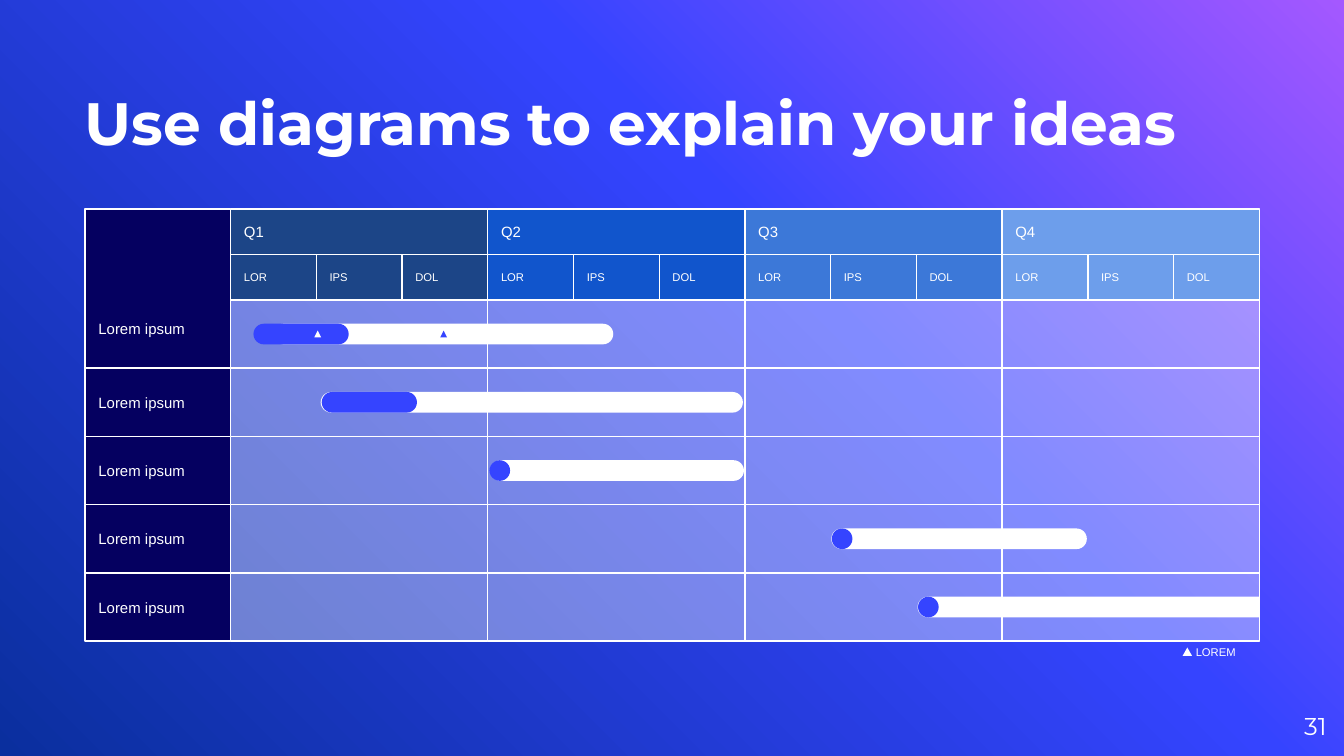
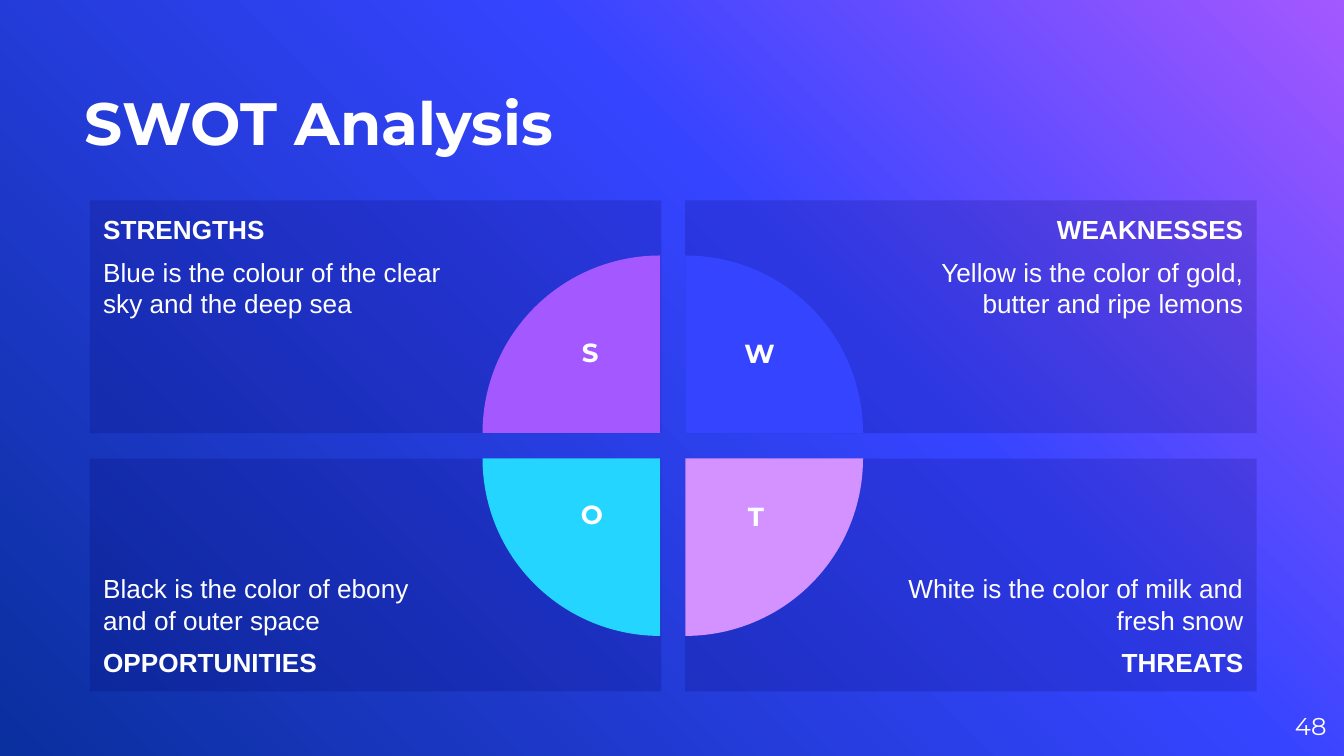
from copy import deepcopy

from lxml import etree
from pptx import Presentation
from pptx.dml.color import RGBColor
from pptx.enum.shapes import MSO_SHAPE
from pptx.enum.text import MSO_ANCHOR, PP_ALIGN
from pptx.oxml.ns import qn
from pptx.util import Cm, Pt

RECTANGLE = MSO_SHAPE.RECTANGLE
TRIANGLE = MSO_SHAPE.ISOSCELES_TRIANGLE
ROUND_BAR = MSO_SHAPE.ROUND_2_SAME_RECTANGLE
PIE = MSO_SHAPE.PIE
TOP, MIDDLE, BOTTOM = MSO_ANCHOR.TOP, MSO_ANCHOR.MIDDLE, MSO_ANCHOR.BOTTOM
LEFT, CENTER, RIGHT = PP_ALIGN.LEFT, PP_ALIGN.CENTER, PP_ALIGN.RIGHT

WHITE = RGBColor(0xFF, 0xFF, 0xFF)
NAVY = RGBColor(0x05, 0x00, 0x60)
BLUE = RGBColor(0x35, 0x44, 0xFF)
DEEP_BLUE = RGBColor(0x0A, 0x2F, 0x9E)
PURPLE = RGBColor(0xA4, 0x58, 0xFF)
LILAC = RGBColor(0xD3, 0x92, 0xFF)
CYAN = RGBColor(0x24, 0xD6, 0xFF)
QUARTER_COLORS = [
    RGBColor(0x1C, 0x45, 0x87),
    RGBColor(0x11, 0x55, 0xCC),
    RGBColor(0x3C, 0x78, 0xD8),
    RGBColor(0x6D, 0x9E, 0xEB),
]
BACKGROUND_STOPS = [(0, PURPLE), (0.39, BLUE), (1, DEEP_BLUE)]

HEADING_FONT = "Montserrat"
BODY_FONT = "Arial"
NO_INSETS = (0, 0, 0, 0)
INSETS = (0.25, 0.25, 0.25, 0.25)
LETTER_INSETS = (0.25, 0.13, 0.25, 0.13)


class Deck:
    def __init__(self):
        self.deck = Presentation()
        self.deck.slide_width = Cm(25.4)
        self.deck.slide_height = Cm(14.29)
        self.page = None
        self.paint_background()

    def paint_background(self):
        master = self.deck.slide_master
        fill = master.background.fill
        fill.gradient()
        fill.gradient_angle = 225
        first_stop = next(master.element.iter(qn("a:gs")))
        first_stop.addnext(deepcopy(first_stop))
        for stop, (position, color) in zip(fill.gradient_stops, BACKGROUND_STOPS):
            stop.position = position
            stop.color.rgb = color

    def add_page(self, title, number, title_width=22.2):
        self.page = self.deck.slides.add_slide(self.deck.slide_layouts[6])
        self.text(1.6, 0.58, title_width, 2.39, title, size=32, font=HEADING_FONT,
                  bold=True, anchor=BOTTOM, insets=NO_INSETS)
        self.text(23.55, 13.18, 1.52, 1.09, number, size=13, font=HEADING_FONT,
                  align=RIGHT, insets=NO_INSETS)

    def shape(self, kind, left, top, width, height, color, alpha=None, outlined=False):
        shape = self.page.shapes.add_shape(kind, Cm(left), Cm(top), Cm(width), Cm(height))
        shape.shadow.inherit = False
        shape.fill.solid()
        shape.fill.fore_color.rgb = color
        if alpha is not None:
            color_node = next(shape.element.spPr.iter(qn("a:srgbClr")))
            etree.SubElement(color_node, qn("a:alpha")).set("val", str(alpha * 1000))
        if outlined:
            shape.line.color.rgb = WHITE
            shape.line.width = Pt(0.75)
        else:
            shape.line.fill.background()
        return shape

    def fill_text(self, shape, text, size, font=BODY_FONT, bold=False, align=LEFT,
                  anchor=MIDDLE, insets=INSETS):
        frame = shape.text_frame
        frame.word_wrap = True
        frame.vertical_anchor = anchor
        (frame.margin_left, frame.margin_top,
         frame.margin_right, frame.margin_bottom) = map(Cm, insets)
        frame.text = text
        for para in frame.paragraphs:
            para.alignment = align
            for span in para.runs:
                span.font.size = Pt(size)
                span.font.name = font
                span.font.bold = bold
                span.font.color.rgb = WHITE
        return frame

    def text(self, left, top, width, height, text, **style):
        box = self.page.shapes.add_textbox(Cm(left), Cm(top), Cm(width), Cm(height))
        self.fill_text(box, text, **style)

    def cell(self, left, top, width, height, color, text, size=8, **style):
        box = self.shape(RECTANGLE, left, top, width, height, color, outlined=True)
        self.fill_text(box, text, size, **style)

    def bar(self, left, middle, length, color, right_end=0.5):
        thickness = 0.39
        bar = self.shape(ROUND_BAR, left + (length - thickness) / 2, middle - length / 2,
                         thickness, length, color)
        bar.rotation = 90
        bar.adjustments[0] = right_end
        bar.adjustments[1] = 0.5

    def panel(self, left, top, heading, sentence, align, anchor):
        insets = (0.25, 0.25, 3.81, 0.25) if align == LEFT else (3.81, 0.25, 0.25, 0.25)
        lines = [heading, sentence] if anchor == TOP else [sentence, heading]
        box = self.shape(RECTANGLE, left, top, 10.8, 4.4, NAVY, alpha=18)
        frame = self.fill_text(box, "\n".join(lines), 14, align=align, anchor=anchor,
                               insets=insets)
        frame.paragraphs[lines.index(heading)].runs[0].font.bold = True
        frame.paragraphs[1].space_before = Pt(6)
        frame.paragraphs[1].space_after = Pt(6)

    def quadrant(self, left, top, color, rotation):
        pie = self.shape(PIE, left, top, 6.71, 6.71, color)
        pie.adjustments[0] = 108
        pie.adjustments[1] = 162
        pie.rotation = rotation


def add_gantt(deck):
    deck.add_page("Use diagrams to explain your ideas", "31")
    label_left, label_width = 1.61, 2.75
    grid_left = label_left + label_width
    month_width = 1.62
    quarter_width = 3 * month_width
    header_top, header_height = 3.95, 0.86
    rows_top = header_top + 2 * header_height
    row_height = 1.29
    row_tops = [rows_top + row * row_height for row in range(5)]

    for quarter, color in enumerate(QUARTER_COLORS):
        left = grid_left + quarter * quarter_width
        for top in row_tops:
            deck.shape(RECTANGLE, left, top, quarter_width, row_height, WHITE,
                       alpha=38, outlined=True)
        deck.cell(left, header_top, quarter_width, header_height, color, f"Q{quarter + 1}")
        for month, name in enumerate(["LOR", "IPS", "DOL"]):
            deck.cell(left + month * month_width, header_top + header_height,
                      month_width, header_height, color, name, size=6)

    deck.cell(label_left, header_top, label_width, 2 * header_height + row_height, NAVY,
              "Lorem ipsum", anchor=BOTTOM, insets=(0.25, 0.25, 0.25, 0.58))
    for top in row_tops[1:]:
        deck.cell(label_left, top, label_width, row_height, NAVY, "Lorem ipsum")

    tasks = [
        (5.16, 6.43, 4.79, 1.8, 0.5),
        (6.06, 7.98, 6.08, 1.8, 0.5),
        (9.26, 4.8, 9.25, 0.39, 0.5),
        (15.71, 4.83, 15.72, 0.39, 0.5),
        (17.34, 6.45, 17.35, 0.39, 0),
    ]
    for top, (left, length, done_left, done_length, right_end) in zip(row_tops, tasks):
        middle = top + row_height / 2
        deck.bar(left, middle, length, WHITE, right_end)
        deck.bar(done_left, middle, done_length, BLUE)

    for left, color in [(5.94, WHITE), (8.32, BLUE)]:
        deck.shape(TRIANGLE, left, 6.25, 0.13, 0.13, color)
    deck.text(22.35, 12.19, 1.42, 0.28, "LOREM", size=6)
    deck.shape(TRIANGLE, 22.35, 12.24, 0.18, 0.16, WHITE)


def add_swot(deck):
    deck.add_page("SWOT Analysis", "48", title_width=16.71)
    left, right, top, bottom = 1.7, 12.95, 3.79, 8.67
    deck.panel(left, top, "STRENGTHS",
               "Blue is the colour of the clear sky and the deep sea", LEFT, TOP)
    deck.panel(right, top, "WEAKNESSES",
               "Yellow is the color of gold, butter and ripe lemons", RIGHT, TOP)
    deck.panel(left, bottom, "OPPORTUNITIES",
               "Black is the color of ebony and of outer space", LEFT, BOTTOM)
    deck.panel(right, bottom, "THREATS",
               "White is the color of milk and fresh snow", RIGHT, BOTTOM)

    pie_left, pie_right, pie_top, pie_bottom = 9.12, 9.6, 4.83, 5.31
    deck.quadrant(pie_left, pie_top, PURPLE, 0)
    deck.quadrant(pie_right, pie_top, BLUE, 90)
    deck.quadrant(pie_right, pie_bottom, LILAC, 180)
    deck.quadrant(pie_left, pie_bottom, CYAN, 270)

    letters = [
        ("S", 10.67, 6.22, 0.97),
        ("W", 13.49, 6.25, 1.73),
        ("O", 10.57, 9.3, 1.24),
        ("T", 13.82, 9.32, 0.94),
    ]
    for letter, letter_left, letter_top, width in letters:
        deck.text(letter_left, letter_top, width, 1.28, letter, size=14, font=HEADING_FONT,
                  bold=True, align=CENTER, anchor=TOP, insets=LETTER_INSETS)


def main():
    deck = Deck()
    add_gantt(deck)
    add_swot(deck)
    deck.deck.save("out.pptx")


if __name__ == "__main__":
    main()
